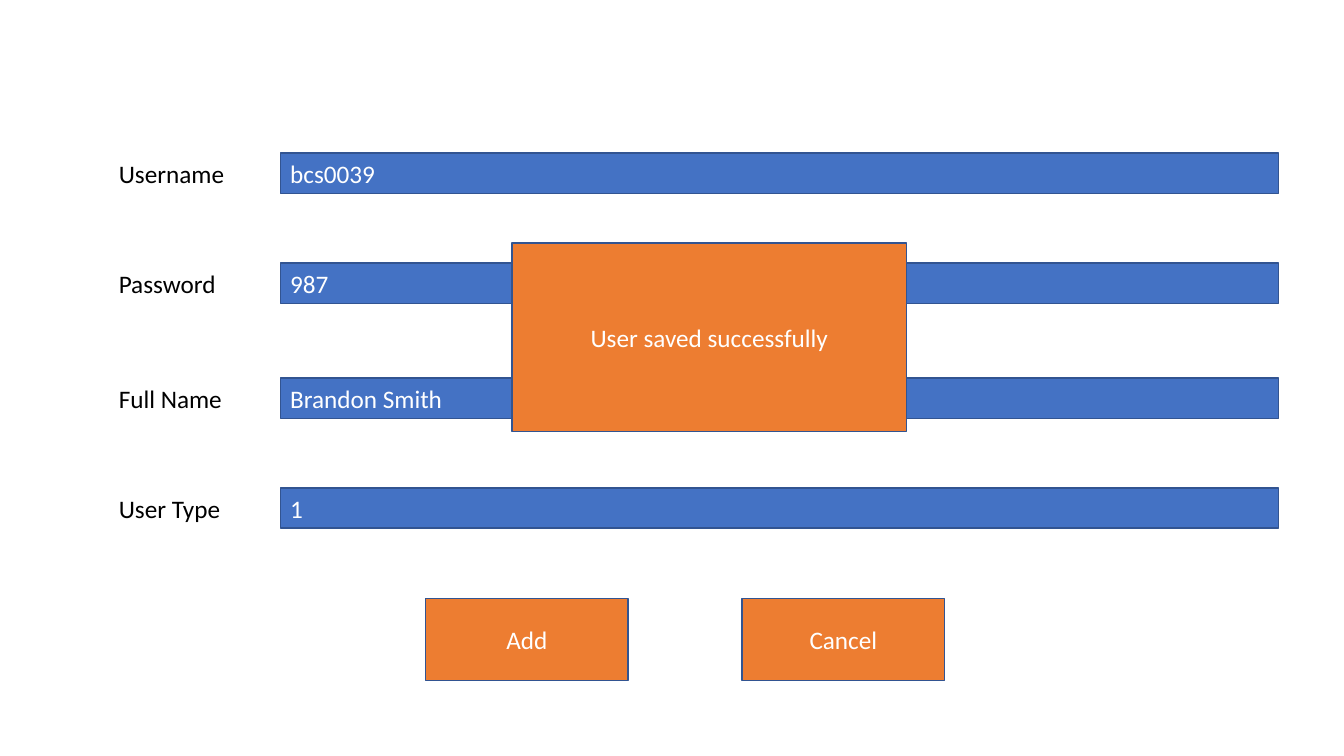
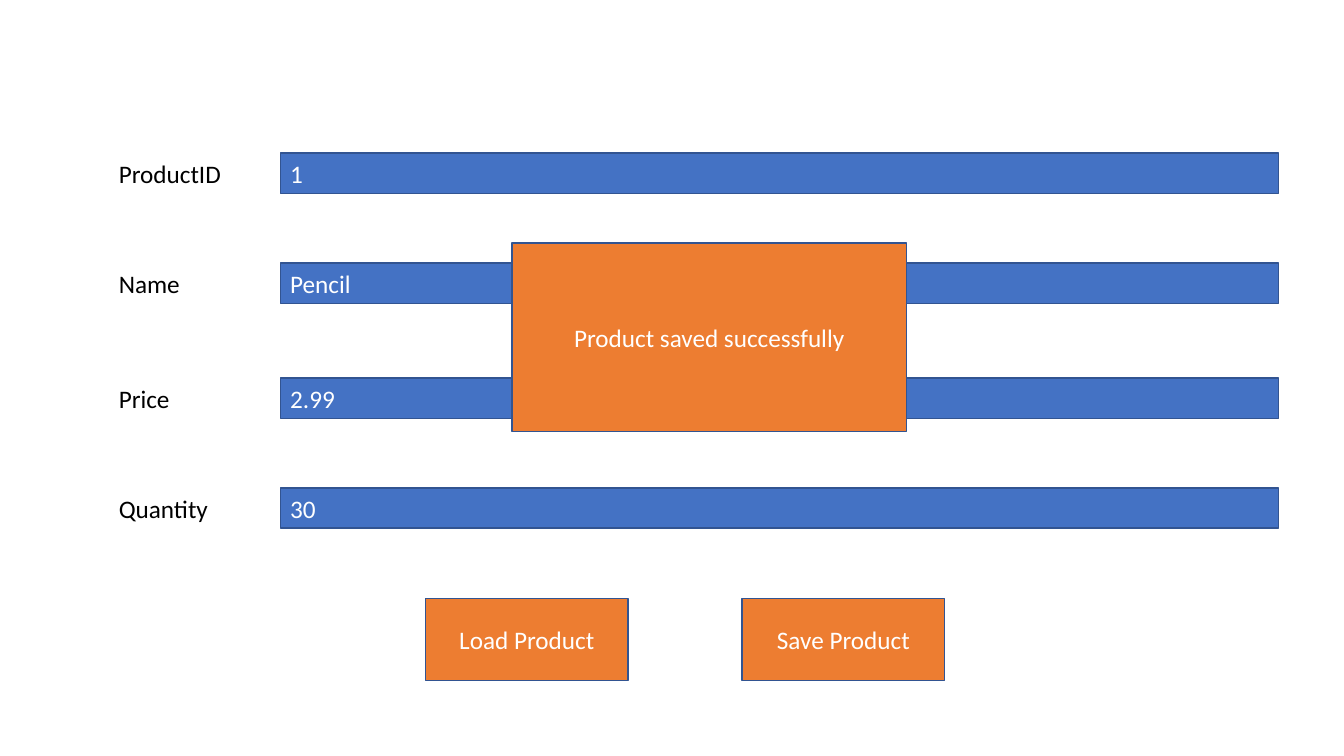
"""Build two form mock-ups, each with a confirmation message on top."""
from dataclasses import dataclass
from typing import NamedTuple

from pptx import Presentation
from pptx import util as u
from pptx.dml.color import RGBColor
from pptx.enum import shapes, text
from pptx.shapes.autoshape import Shape
from pptx.slide import Slide

BLUE = RGBColor(0x44, 0x72, 0xC4)
ORANGE = RGBColor(0xED, 0x7D, 0x31)
OUTLINE = RGBColor(0x32, 0x54, 0x91)
WHITE = RGBColor(0xFF, 0xFF, 0xFF)
BLACK = RGBColor(0x00, 0x00, 0x00)

FONT = "Calibri"
FONT_SIZE = u.Pt(18)
LEFT = text.PP_ALIGN.LEFT
CENTER = text.PP_ALIGN.CENTER


class Area(NamedTuple):
    """Left, top, width and height in inches."""
    left: float
    top: float
    width: float
    height: float

    def lengths(self) -> list[u.Length]:
        """Return the four measures as lengths."""
        return [u.Inches(measure) for measure in self]


class Field(NamedTuple):
    """A labelled input and the value typed into it."""
    label: str
    value: str


@dataclass(frozen=True)
class Form:
    """The wording of one form page."""
    fields: list[Field]
    buttons: list[str]
    message: str


ROW_TOPS = (1.52, 2.61, 3.75, 4.84)
ROW_HEIGHT = 0.4
LABEL_LEFT, LABEL_WIDTH = 1.08, 1.44
INPUT_LEFT, INPUT_WIDTH = 2.78, 9.9
FIRST_BUTTON = Area(4.22, 5.94, 2.01, 0.81)
BUTTON_STEP = 3.14
MESSAGE = Area(5.08, 2.41, 3.91, 1.87)

FORMS = [
    Form(
        [Field("Username", "bcs0039"), Field("Password", "987"),
         Field("Full Name", "Brandon Smith"), Field("User Type", "1")],
        ["Add", "Cancel"],
        "User saved successfully",
    ),
    Form(
        [Field("ProductID", "1"), Field("Name", "Pencil"),
         Field("Price", "2.99"), Field("Quantity", "30")],
        ["Load Product", "Save Product"],
        "Product saved successfully",
    ),
]


def write(shape: Shape, wording: str, color: RGBColor, align: text.PP_ALIGN) -> None:
    """Put one formatted line of text into a shape."""
    frame = shape.text_frame
    frame.text = wording
    frame.word_wrap = True
    para = frame.paragraphs[0]
    para.alignment = align
    for span in para.runs:
        span.font.name = FONT
        span.font.size = FONT_SIZE
        span.font.color.rgb = color


def add_label(page: Slide, area: Area, wording: str) -> None:
    """Add the name of a field."""
    box = page.shapes.add_textbox(*area.lengths())
    write(box, wording, BLACK, LEFT)
    box.text_frame.auto_size = text.MSO_AUTO_SIZE.SHAPE_TO_FIT_TEXT


def add_panel(page: Slide, area: Area, wording: str,
              fill: RGBColor = ORANGE, align: text.PP_ALIGN = CENTER) -> None:
    """Add an outlined rectangle with white text."""
    box = page.shapes.add_shape(shapes.MSO_SHAPE.RECTANGLE, *area.lengths())
    box.shadow.inherit = False
    box.fill.solid()
    box.fill.fore_color.rgb = fill
    box.line.color.rgb = OUTLINE
    box.line.width = u.Pt(1)
    box.text_frame.vertical_anchor = text.MSO_ANCHOR.MIDDLE
    write(box, wording, WHITE, align)


def draw_form(page: Slide, form: Form) -> None:
    """Draw the fields, the buttons and the message in front."""
    for top, field in zip(ROW_TOPS, form.fields):
        add_panel(page, Area(INPUT_LEFT, top, INPUT_WIDTH, ROW_HEIGHT),
                  field.value, BLUE, LEFT)
        add_label(page, Area(LABEL_LEFT, top, LABEL_WIDTH, ROW_HEIGHT), field.label)
    for index, caption in enumerate(form.buttons):
        left = FIRST_BUTTON.left + index * BUTTON_STEP
        add_panel(page, FIRST_BUTTON._replace(left=left), caption)
    add_panel(page, MESSAGE, form.message)


def main() -> None:
    """Build and save the deck."""
    deck = Presentation()
    deck.slide_width = u.Inches(13.33)
    deck.slide_height = u.Inches(7.5)
    blank = deck.slide_layouts[6]
    for form in FORMS:
        draw_form(deck.slides.add_slide(blank), form)
    deck.save("out.pptx")


main()
